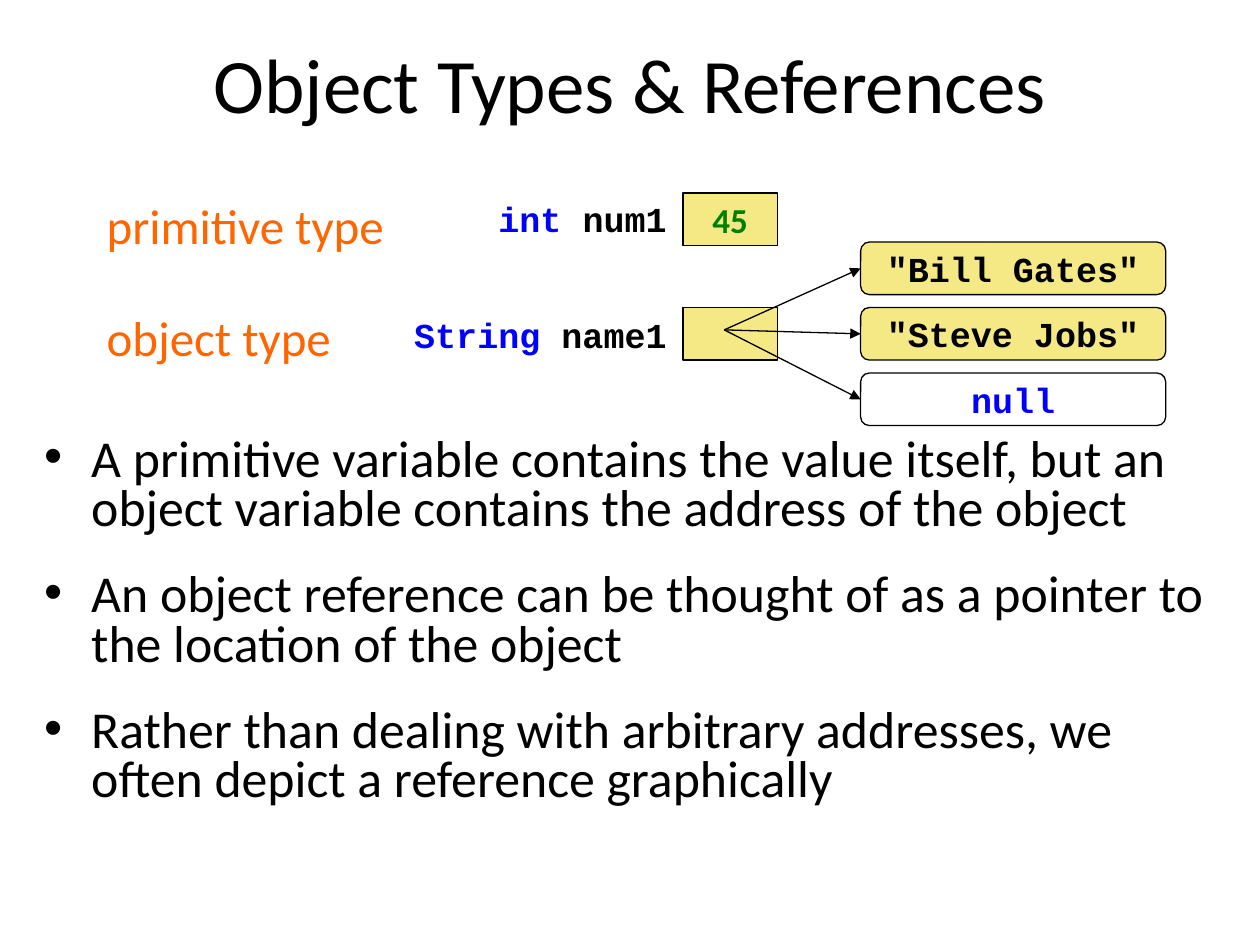
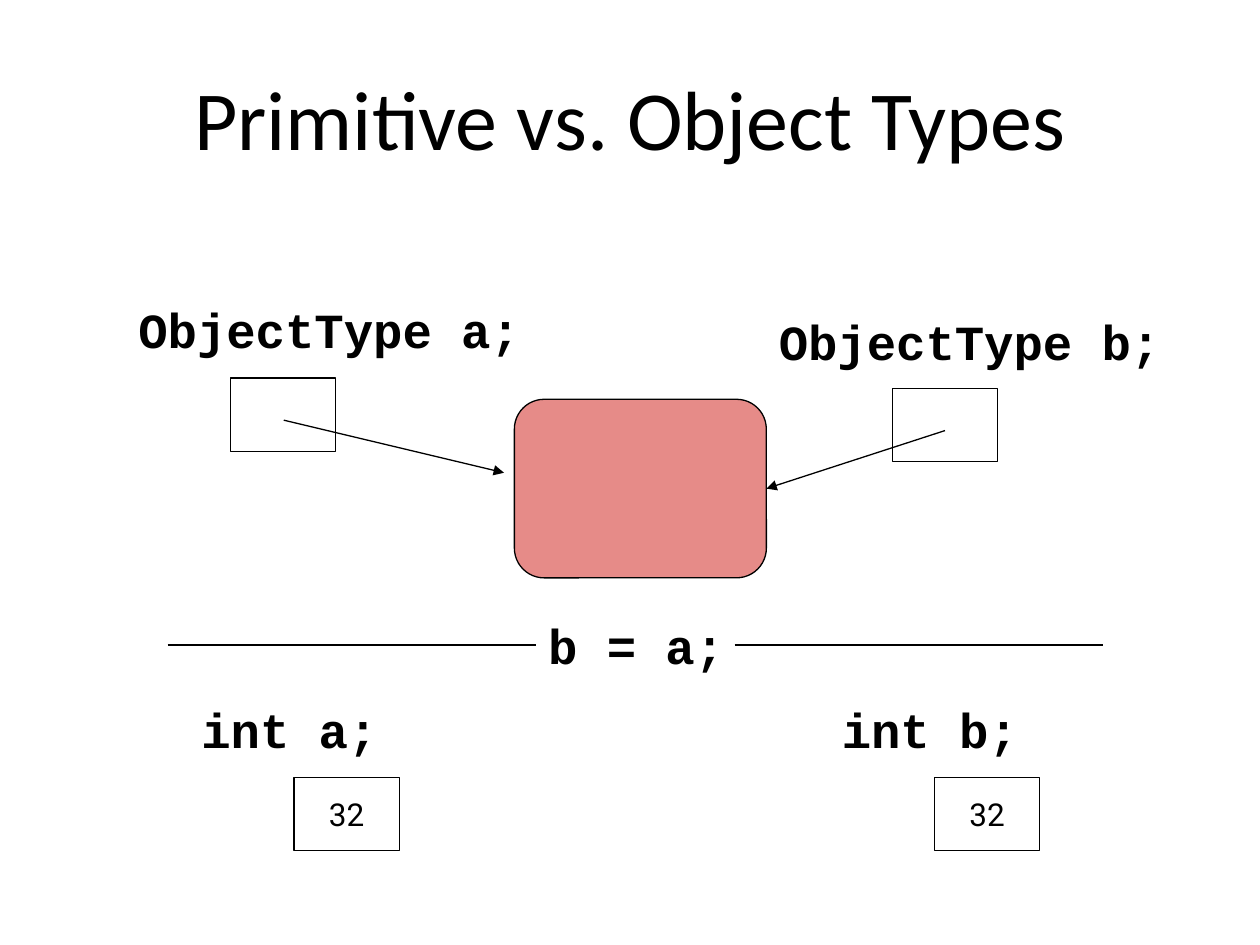
from pptx import Presentation
from pptx.dml.color import RGBColor
from pptx.enum.shapes import MSO_CONNECTOR as Connector, MSO_SHAPE as Shape
from pptx.enum.text import MSO_ANCHOR as Anchor, PP_ALIGN as Align
from pptx.oxml.ns import qn
from pptx.util import Cm, Pt
from lxml.etree import SubElement

BLACK = RGBColor(0x00, 0x00, 0x00)
BLUE = RGBColor(0x00, 0x00, 0xFF)
GREEN = RGBColor(0x00, 0x80, 0x00)
ORANGE = RGBColor(0xFF, 0x66, 0x00)
YELLOW = RGBColor(0xF5, 0xE9, 0x85)
RED = RGBColor(0xE6, 0x8B, 0x88)

BODY_FONT = "Calibri"
CODE_FONT = "Courier New"
NUMBER_FONT = "Roboto"
LINE_WIDTH = Pt(0.75)
LEFT_SIDE, RIGHT_SIDE = 1, 3

POINTS = (
    "A primitive variable contains the value itself, but an object variable "
    "contains the address of the object",
    "An object reference can be thought of as a pointer to the location of the object",
    "Rather than dealing with arbitrary addresses, we often depict a reference graphically",
)


def style_run(run, size, font=BODY_FONT, color=BLACK, bold=False):
    run.font.size = Pt(size)
    run.font.name = font
    run.font.color.rgb = color
    run.font.bold = bold


def add_text(slide, left, top, width, height, parts, size, font=BODY_FONT,
             bold=False, align=Align.LEFT, anchor=Anchor.TOP):
    box = slide.shapes.add_textbox(Cm(left), Cm(top), Cm(width), Cm(height))
    frame = box.text_frame
    frame.word_wrap = True
    frame.vertical_anchor = anchor
    paragraph = frame.paragraphs[0]
    paragraph.alignment = align
    for text, color in parts:
        run = paragraph.add_run()
        run.text = text
        style_run(run, size, font, color, bold)


def add_title(slide, text, top, size):
    add_text(slide, 1.27, top, 22.86, 3.18, [(text, BLACK)], size,
             align=Align.CENTER, anchor=Anchor.MIDDLE)


def add_code(slide, left, top, width, text):
    add_text(slide, left, top, width, 1.45, [(text, BLACK)], 28, CODE_FONT, True)


def add_box(slide, kind, left, top, width, height, fill=None, text="", **style):
    shape = slide.shapes.add_shape(kind, Cm(left), Cm(top), Cm(width), Cm(height))
    shape.shadow.inherit = False
    if fill is None:
        shape.fill.background()
    else:
        shape.fill.solid()
        shape.fill.fore_color.rgb = fill
    shape.line.color.rgb = BLACK
    shape.line.width = LINE_WIDTH
    if text:
        frame = shape.text_frame
        frame.text = text
        frame.word_wrap = False
        frame.vertical_anchor = Anchor.MIDDLE
        frame.paragraphs[0].alignment = Align.CENTER
        style_run(frame.paragraphs[0].runs[0], **style)
    return shape


def add_line(slide, start, end):
    line = slide.shapes.add_connector(Connector.STRAIGHT, *map(Cm, start + end))
    line.line.color.rgb = BLACK
    line.line.width = LINE_WIDTH
    SubElement(line._element.spPr, qn("a:effectLst"))
    return line


def add_arrow(slide, start, end, target=None, side=LEFT_SIDE):
    arrow = add_line(slide, start, end)
    SubElement(arrow.line._get_or_add_ln(), qn("a:tailEnd"), type="triangle")
    if target is not None:
        arrow.end_connect(target, side)


def add_bullets(slide, left, top, width, height, points):
    box = slide.shapes.add_textbox(Cm(left), Cm(top), Cm(width), Cm(height))
    frame = box.text_frame
    frame.word_wrap = True
    frame.text = "\n".join(points)
    for paragraph in frame.paragraphs:
        paragraph.line_spacing = 0.8
        paragraph.space_before = Pt(20.7)
        properties = paragraph._p.get_or_add_pPr()
        properties.set("marL", str(Cm(0.95)))
        properties.set("indent", str(-Cm(0.95)))
        SubElement(properties, qn("a:buFont"), typeface="Arial")
        SubElement(properties, qn("a:buChar"), char="•")
        style_run(paragraph.runs[0], 29.6)


def build_references(slide):
    add_title(slide, "Object Types & References", 0.08, 44)
    add_bullets(slide, 0.64, 8.69, 24.13, 8.89, POINTS)

    variables = (
        ("primitive type", 3.81, "int", " num1", 3.86, 3.89, "45"),
        ("object type", 6.07, "String", " name1", 6.2, 6.2, ""),
    )
    for label, label_top, keyword, name, code_top, box_top, value in variables:
        add_text(slide, 1.9, label_top, 6.2, 1.45, [(label, ORANGE)], 28)
        add_text(slide, 7.69, code_top, 6, 1.12, [(keyword, BLUE), (name, BLACK)],
                 20, CODE_FONT, True, Align.RIGHT)
        add_box(slide, Shape.RECTANGLE, 13.77, box_top, 1.9, 1.06, YELLOW, value,
                size=20, color=GREEN, bold=True)

    objects = (
        ('"Bill Gates"', YELLOW, BLACK),
        ('"Steve Jobs"', YELLOW, BLACK),
        ("null", None, BLUE),
    )
    for row, (text, fill, color) in enumerate(objects):
        top = 4.88 + 1.32 * row
        target = add_box(slide, Shape.ROUNDED_RECTANGLE, 17.35, top, 6.15, 1.06, fill,
                         text, size=20, font=CODE_FONT, color=color, bold=True)
        add_arrow(slide, (14.6, 6.65), (17.35, top + 0.53), target)


def build_comparison(slide):
    add_title(slide, "Primitive vs. Object Types", 0.76, 48)
    shared_object = add_box(slide, Shape.ROUNDED_RECTANGLE, 10.37, 8.05, 5.08, 3.6, RED)

    references = ((2.54, 5.92, "a", 4.65, 7.62), (15.45, 6.15, "b", 17.99, 7.83))
    for code_left, code_top, name, box_left, box_top in references:
        add_code(slide, code_left, code_top, 9.5, f"ObjectType {name};")
        add_box(slide, Shape.RECTANGLE, box_left, box_top, 2.12, 1.48)
    add_arrow(slide, (5.72, 8.47), (10.16, 9.53))
    add_arrow(slide, (19.05, 8.68), (15.45, 9.85), shared_object, RIGHT_SIDE)

    add_code(slide, 10.8, 12.28, 4.45, "b = a;")
    for left in (3.38, 14.81):
        add_line(slide, (left, 13), (left + 7.42, 13))

    for left, name in ((3.81, "a"), (16.72, "b")):
        add_code(slide, left, 13.97, 5.72, f"int {name};")
        add_box(slide, Shape.RECTANGLE, left + 2.12, 15.67, 2.12, 1.48, text="32",
                size=18, font=NUMBER_FONT)


def main():
    presentation = Presentation()
    presentation.slide_width = Cm(25.4)
    presentation.slide_height = Cm(19.05)
    blank = presentation.slide_layouts[6]
    for build in (build_references, build_comparison):
        build(presentation.slides.add_slide(blank))
    presentation.save("out.pptx")


if __name__ == "__main__":
    main()
